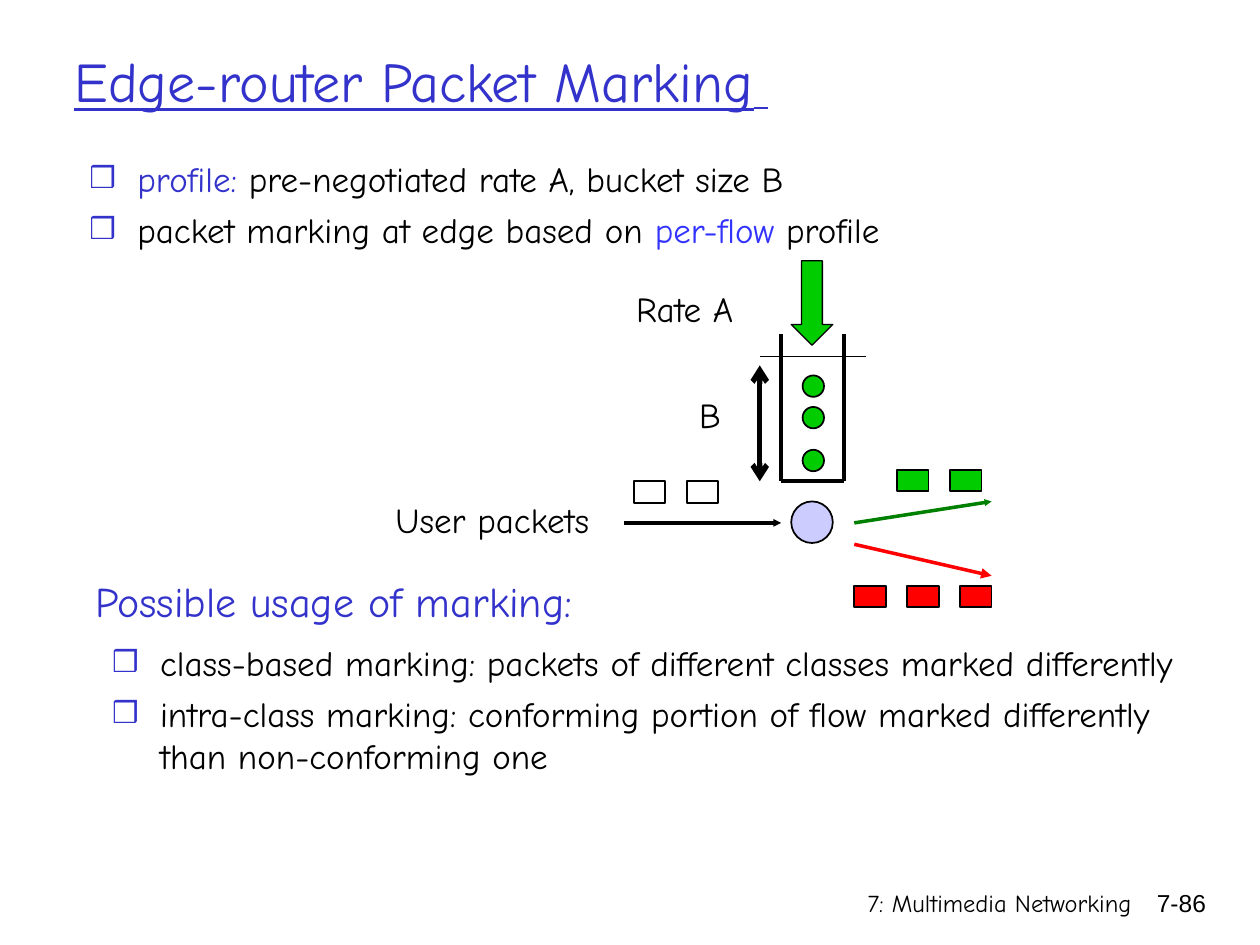
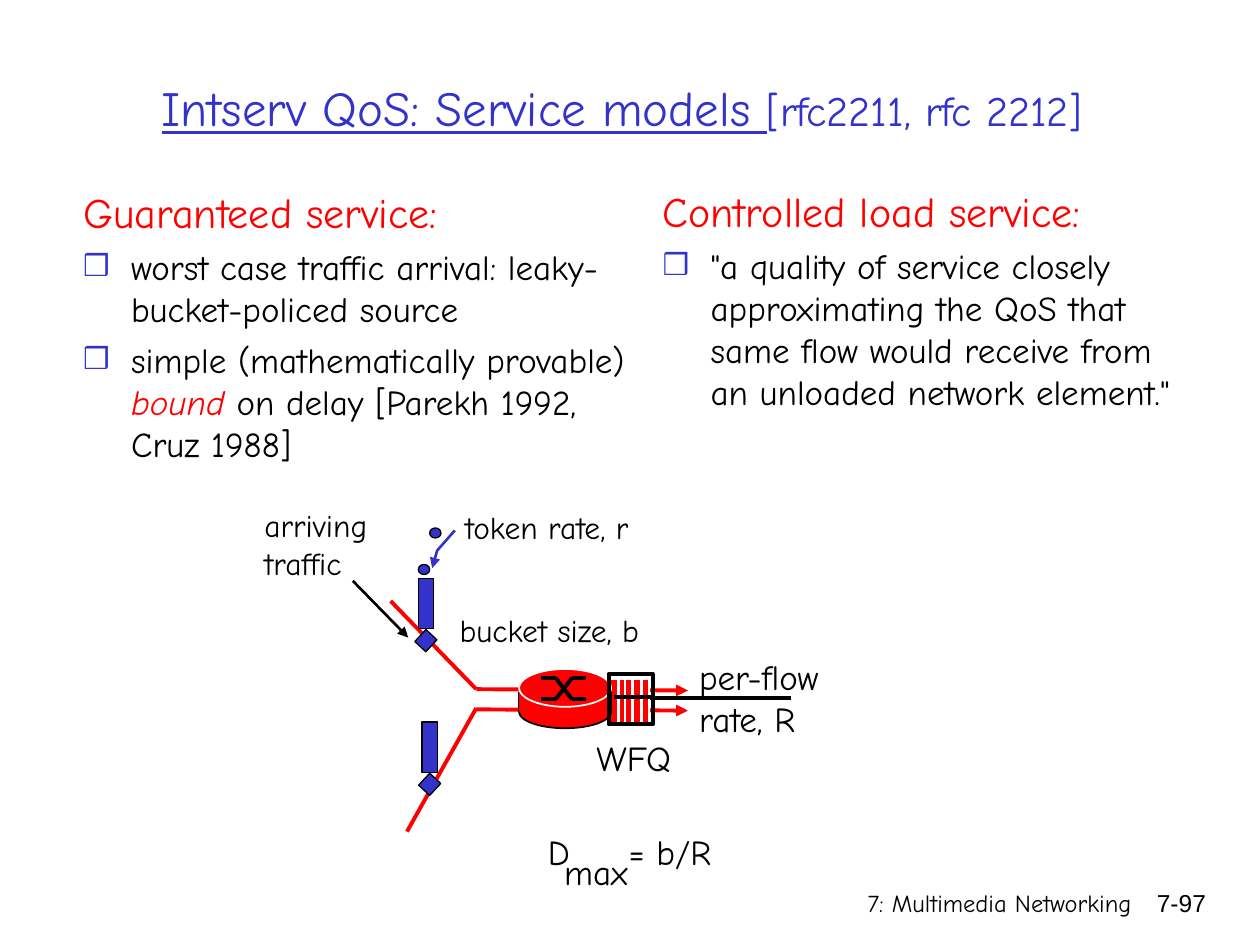
from typing import NamedTuple, Optional

from lxml.etree import SubElement
from pptx import Presentation
from pptx.dml.color import RGBColor
from pptx.enum.shapes import MSO_CONNECTOR, MSO_SHAPE
from pptx.enum.text import MSO_ANCHOR, MSO_AUTO_SIZE, PP_ALIGN
from pptx.oxml.ns import qn
from pptx.slide import Slide
from pptx.util import Inches, Pt

COLORS = {
    "black": "000000", "white": "FFFFFF", "title": "3333CC", "accent": "3333FF",
    "red": "FF0000", "green": "00CC00", "dark green": "008000", "lilac": "CCCCFF",
}
FONT = "Comic Neue"
NUMBER_FONT = "Arial"
FOOTER = "7: Multimedia Networking"
BULLET = "❒"
BULLET_INDENT = 0.38
TWO_CONTENT = 3  # layout with a title and two lists
RECT, OVAL, ARROW_DOWN = MSO_SHAPE.RECTANGLE, MSO_SHAPE.OVAL, MSO_SHAPE.DOWN_ARROW
LEFT, CENTER, RIGHT = PP_ALIGN.LEFT, PP_ALIGN.CENTER, PP_ALIGN.RIGHT


class Place(NamedTuple):
    left: float
    top: float
    width: float
    height: float


class Run(NamedTuple):
    text: str
    color: str = "black"
    size: float = 20
    underline: bool = False
    italic: bool = False


class Item(NamedTuple):
    runs: list[Run]
    bullet: bool = True


class Label(NamedTuple):
    text: str
    place: Place
    size: float = 20
    color: str = "black"
    align: PP_ALIGN = LEFT
    font: str = FONT


class Box(NamedTuple):
    kind: MSO_SHAPE
    place: Place
    fill: Optional[str] = None
    line: Optional[str] = "black"
    width: float = 1
    rotation: float = 0


class Line(NamedTuple):
    start: tuple[float, float]
    end: tuple[float, float]
    color: str = "black"
    width: float = 2.25
    tail: Optional[str] = None
    head: Optional[str] = None
    head_size: str = "med"


def rgb(name: str) -> RGBColor:
    return RGBColor.from_string(COLORS[name])


def inches(place: Place) -> list[int]:
    return [Inches(v) for v in place]


# ---- Text ----
def add_runs(p, runs: list[Run]) -> None:
    for run in runs:
        r = p.add_run()
        r.text = run.text
        r.font.name = FONT
        r.font.size = Pt(run.size)
        r.font.color.rgb = rgb(run.color)
        r.font.underline = run.underline
        r.font.italic = run.italic


def format_bullet(p, bullet: bool) -> None:
    pPr = p._p.get_or_add_pPr()
    pPr.set("marL", str(Inches(BULLET_INDENT)))
    pPr.set("indent", str(-Inches(BULLET_INDENT)))
    if not bullet:
        SubElement(pPr, qn("a:buNone"))
        return
    color = SubElement(pPr, qn("a:buClr"))
    SubElement(color, qn("a:srgbClr"), val=COLORS["title"])
    SubElement(pPr, qn("a:buSzPct"), val="85000")
    SubElement(pPr, qn("a:buChar"), char=BULLET)


def move(sp, place: Place) -> None:
    sp.left, sp.top, sp.width, sp.height = inches(place)


def fill_title(s: Slide, place: Place, runs: list[Run], align: PP_ALIGN) -> None:
    sp = s.shapes.title
    move(sp, place)
    tf = sp.text_frame
    tf.auto_size = MSO_AUTO_SIZE.NONE
    tf.vertical_anchor = MSO_ANCHOR.MIDDLE
    p = tf.paragraphs[0]
    p.alignment = align
    add_runs(p, runs)


def fill_list(s: Slide, idx: int, place: Place, items: list[Item]) -> None:
    sp = s.placeholders[idx]
    move(sp, place)
    tf = sp.text_frame
    tf.auto_size = MSO_AUTO_SIZE.NONE
    for i, item in enumerate(items):
        p = tf.add_paragraph() if i else tf.paragraphs[0]
        format_bullet(p, item.bullet)
        p.space_before = Pt(5 if i else 0)
        add_runs(p, item.runs)


def add_label(s: Slide, label: Label):
    sp = s.shapes.add_textbox(*inches(label.place))
    tf = sp.text_frame
    tf.word_wrap = True
    tf.text = label.text
    for p in tf.paragraphs:
        p.alignment = label.align
        for r in p.runs:
            r.font.name = label.font
            r.font.size = Pt(label.size)
            r.font.color.rgb = rgb(label.color)
    return sp


# ---- Shapes and lines ----
def style_shape(sp, fill: Optional[str], line: Optional[str], width: float) -> None:
    sp.shadow.inherit = False
    if fill:
        sp.fill.solid()
        sp.fill.fore_color.rgb = rgb(fill)
    else:
        sp.fill.background()
    if line:
        sp.line.color.rgb = rgb(line)
        sp.line.width = Pt(width)
    else:
        sp.line.fill.background()


def add_box(s: Slide, box: Box) -> None:
    sp = s.shapes.add_shape(box.kind, *inches(box.place))
    sp.rotation = box.rotation
    style_shape(sp, box.fill, box.line, box.width)


def add_arrowheads(sp, head: Optional[str], tail: Optional[str], size: str = "med") -> None:
    ln = sp.line._get_or_add_ln()
    for tag, kind in (("a:headEnd", head), ("a:tailEnd", tail)):
        if kind:
            SubElement(ln, qn(tag), type=kind, w=size, len=size)


def add_line(s: Slide, line: Line) -> None:
    ends = [Inches(v) for v in (*line.start, *line.end)]
    sp = s.shapes.add_connector(MSO_CONNECTOR.STRAIGHT, *ends)
    sp.line.color.rgb = rgb(line.color)
    sp.line.width = Pt(line.width)
    add_arrowheads(sp, line.head, line.tail, line.head_size)
    SubElement(sp._element.spPr, qn("a:effectLst"))


def add_slide(prs, number: str) -> Slide:
    s = prs.slides.add_slide(prs.slide_layouts[TWO_CONTENT])
    add_label(s, Label(FOOTER, Place(4.86, 7, 4.22, 0.5), 14, align=RIGHT))
    add_label(s, Label(number, Place(8.93, 7, 0.74, 0.5), 14, align=RIGHT, font=NUMBER_FONT))
    return s


# ---- Slide: packet marking ----
def build_marking(prs) -> None:
    s = add_slide(prs, "7-86")
    fill_title(s, Place(0.49, 0.26, 8.5, 0.75),
               [Run("Edge-router Packet Marking", "title", 32, True),
                Run(" ", "title", 24, True)], LEFT)
    fill_list(s, 1, Place(0.61, 1.2, 8.75, 1), [
        Item([Run("profile: ", "title"), Run("pre-negotiated rate A, bucket size B")]),
        Item([Run("packet marking at edge based on "), Run("per-flow", "accent"),
              Run(" profile")]),
    ])
    fill_list(s, 2, Place(0.79, 5.04, 9, 2), [
        Item([Run("class-based marking: packets of different classes marked differently")]),
        Item([Run("intra-class marking: conforming portion of flow marked differently "
                  "than non-conforming one")]),
    ])
    for label in (
        Label("Possible usage of marking:", Place(0.66, 4.52, 4.92, 0.5), 24, "title"),
        Label("User packets", Place(3.04, 3.91, 2.33, 0.44)),
        Label("Rate A", Place(4.95, 2.23, 1.25, 0.44)),
        Label("B", Place(5.45, 3.07, 0.38, 0.44)),
    ):
        add_label(s, label)

    # Rows of packets: unmarked, conforming, non-conforming
    for left, top, count, color in ((5.03, 3.82, 2, "white"), (7.12, 3.73, 2, "green"),
                                    (6.78, 4.65, 3, "red")):
        for i in range(count):
            add_box(s, Box(RECT, Place(left + 0.42 * i, top, 0.25, 0.17), color))

    # Token bucket, its level and the marker below
    for x in (6.2, 6.7):
        add_line(s, Line((x, 3.07), (x, 3.82)))
        add_line(s, Line((x, 3.07), (x, 2.65), width=2))
    add_line(s, Line((6.2, 3.82), (6.7, 3.82)))
    for top in (2.98, 3.23, 3.57):
        add_box(s, Box(OVAL, Place(6.37, top, 0.17, 0.17), "green"))
    add_box(s, Box(OVAL, Place(6.28, 3.98, 0.33, 0.33), "lilac"))
    add_box(s, Box(ARROW_DOWN, Place(6.28, 2.07, 0.33, 0.67), "green", width=0.75))
    add_line(s, Line((6.03, 2.83), (6.87, 2.83), width=0.75))
    add_line(s, Line((6.03, 2.9), (6.03, 3.82), width=3, tail="arrow", head="arrow"))

    # Packet flows
    add_line(s, Line((4.95, 4.15), (6.2, 4.15), tail="triangle", head_size="sm"))
    add_line(s, Line((6.78, 4.15), (7.87, 3.98), "dark green", 2, "triangle", head_size="sm"))
    add_line(s, Line((6.78, 4.32), (7.87, 4.57), "red", 2, "triangle"))


# ---- Slide: service models ----
def add_router(s: Slide) -> None:
    add_box(s, Box(OVAL, Place(4.12, 5.52, 0.73, 0.26), "red"))
    for x in (4.12, 4.85):
        add_line(s, Line((x, 5.49), (x, 5.65), width=1))
    add_box(s, Box(RECT, Place(4.12, 5.49, 0.72, 0.16), "red", None))
    add_box(s, Box(OVAL, Place(4.12, 5.31, 0.73, 0.3), "red", "white"))
    top, bottom = 5.38, 5.55
    for y_in, y_out in ((top, bottom), (bottom, top)):
        track = [(4.29, y_in), (4.41, y_in), (4.54, y_out), (4.65, y_out)]
        for start, end in zip(track, track[1:]):
            add_line(s, Line(start, end))


def add_policer(s: Slide, left: float, top: float) -> None:
    add_box(s, Box(RECT, Place(left, top + 0.43, 0.12, 0.13), "title", width=0.75, rotation=43))
    add_box(s, Box(RECT, Place(left, top, 0.12, 0.4), "title", width=0.75))


def build_services(prs) -> None:
    s = add_slide(prs, "7-97")
    fill_title(s, Place(0.55, 0.22, 8.77, 1.25),
               [Run("Intserv QoS: Service models ", "title", 28, True),
                Run("[rfc2211, rfc 2212]", "title", 24)], CENTER)
    fill_list(s, 1, Place(0.56, 1.43, 4.58, 2.4), [
        Item([Run("Guaranteed service:", "red", 24)], bullet=False),
        Item([Run("worst case traffic arrival: leaky-bucket-policed source")]),
        Item([Run("simple (mathematically provable) "), Run("bound", "red", italic=True),
              Run(" on delay [Parekh 1992, Cruz 1988]")]),
    ])
    fill_list(s, 2, Place(5.16, 1.42, 4.37, 2.4), [
        Item([Run("Controlled load service:", "red", 24)], bullet=False),
        Item([Run('"a quality of service closely approximating the QoS that same flow '
                  'would receive from an unloaded network element."')]),
    ])

    # Two flows into the router
    add_line(s, Line((3.1, 4.77), (3.78, 5.47), "red"))
    add_line(s, Line((3.23, 6.6), (3.78, 5.62), "red"))
    for y in (5.47, 5.63):
        add_line(s, Line((3.78, y), (5.46, y + 0.01), "red", tail="triangle"))

    # Fair queue and router
    add_line(s, Line((5.06, 5.54), (6.28, 5.54)))
    add_box(s, Box(RECT, Place(4.83, 5.39, 0.32, 0.38), "red", "white", 1.5))
    for x in (4.91, 4.96, 5.02, 5.09):
        add_line(s, Line((x, 5.73), (x, 5.36), "white", 1.5))
    add_router(s)
    add_box(s, Box(RECT, Place(4.83, 5.35, 0.35, 0.4), width=2.25))
    add_line(s, Line((4.87, 5.53), (5.2, 5.53)))

    # Tokens and policers
    for left, top in ((3.32, 4.48), (3.41, 4.19)):
        add_box(s, Box(OVAL, Place(left, top, 0.09, 0.08), "title", width=0.75))
    builder = s.shapes.build_freeform(Inches(3.61), Inches(4.21))
    builder.add_line_segments([(Inches(3.47), Inches(4.37)), (Inches(3.43), Inches(4.51))],
                              close=False)
    token_path = builder.convert_to_shape()
    style_shape(token_path, None, "title", 1.5)
    add_arrowheads(token_path, None, "triangle")
    add_policer(s, 3.35, 5.73)
    add_policer(s, 3.32, 4.59)
    add_line(s, Line((2.8, 4.61), (3.24, 5.06), width=1.5, tail="triangle"))

    # Labels, each wide enough to keep its words whole
    for label in (
        Label("WFQ", Place(4.53, 5.8, 1, 0.44), align=CENTER),
        Label("token rate, r", Place(3.49, 3.98, 1.7, 0.4), 18, align=CENTER),
        Label("bucket size, b", Place(3.46, 4.8, 1.8, 0.4), 18, align=CENTER),
        Label("per-flow\nrate, R", Place(5.45, 5.15, 1.4, 0.77)),
        Label("max", Place(4.23, 6.7, 1, 0.44), align=CENTER),
        Label("arriving\ntraffic", Place(2, 3.97, 1.25, 0.7), 18),
    ):
        add_label(s, label)

    # Delay bound, with a tab stop leaving room for the subscript
    sp = add_label(s, Label("D\t= b/R", Place(4.25, 6.54, 1.7, 0.44)))
    tabs = SubElement(sp.text_frame.paragraphs[0]._p.get_or_add_pPr(), qn("a:tabLst"))
    SubElement(tabs, qn("a:tab"), pos=str(Inches(0.64)), algn="l")


def main() -> None:
    prs = Presentation()
    prs.slide_width, prs.slide_height = Inches(10), Inches(7.5)
    build_marking(prs)
    build_services(prs)
    prs.save("out.pptx")


if __name__ == "__main__":
    main()
